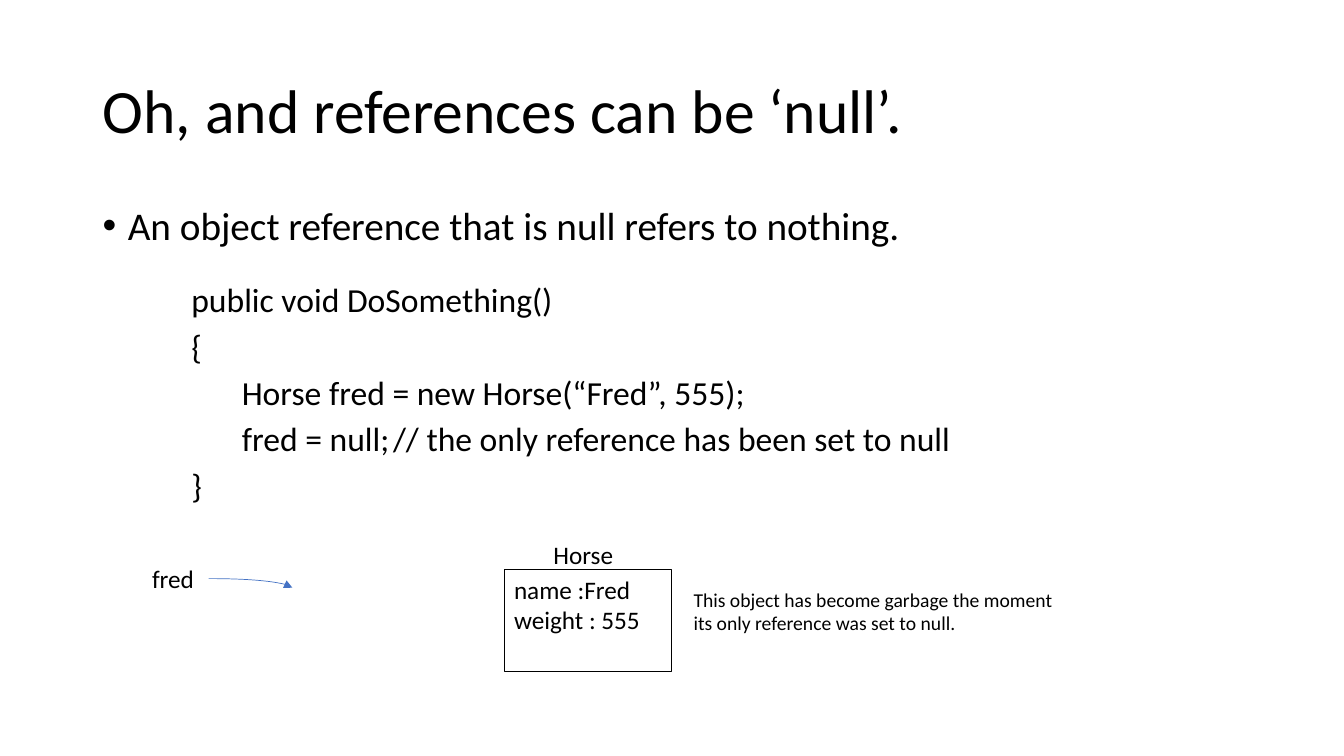
from dataclasses import dataclass

from lxml import etree
from pptx import Presentation
from pptx.dml.color import RGBColor
from pptx.enum import shapes, text
from pptx.oxml import ns
from pptx.util import Inches, Pt

COLORS = {"text": "000000", "background": "FFFFFF", "arrow": "4472C4"}
FONT = "Calibri"


@dataclass(frozen=True)
class TextBlock:
    """Text with its box, size, spacing and optional outline or bullet."""

    left: float
    top: float
    width: float
    height: float
    size: int
    lines: tuple[str, ...]
    line_spacing: float = 1.0
    space_before: int = 0
    bulleted: bool = False
    outlined: bool = False


TITLE = TextBlock(0.92, 0.4, 11.5, 1.45, 44,
                  ("Oh, and references can be ‘null’.",), line_spacing=0.9)
BLOCKS = (
    TextBlock(0.92, 2, 11.5, 0.65, 28,
              ("An object reference that is null refers to nothing.",),
              line_spacing=0.9, bulleted=True),
    TextBlock(1.8, 2.8, 11.5, 2.35, 24,
              ("public void DoSomething()",
               "{",
               "\tHorse fred = new Horse(“Fred”, 555);",
               "\tfred = null;\t// the only reference has been set to null\t",
               "}"),
              line_spacing=0.8, space_before=10),
    TextBlock(5.39, 5.3, 1.07, 0.4, 18, ("Horse",)),
    TextBlock(5, 5.65, 1.66, 1.01, 18, ("name :Fred", "weight : 555"), outlined=True),
    TextBlock(1.41, 5.54, 0.66, 0.4, 18, ("fred",)),
    TextBlock(6.78, 5.78, 3.81, 0.57, 14,
              ("This object has become garbage the moment its only reference was set to null.",)),
)


def color(name: str) -> RGBColor:
    """Return the named colour."""
    return RGBColor.from_string(COLORS[name])


def add_bullet(paragraph) -> None:
    """Give a paragraph a round bullet with a hanging indent."""
    properties = paragraph._p.get_or_add_pPr()
    properties.set("marL", str(Inches(0.25)))
    properties.set("indent", str(Inches(-0.25)))
    etree.SubElement(properties, ns.qn("a:buFont"), typeface="Arial")
    etree.SubElement(properties, ns.qn("a:buChar"), char="•")


def write_text(shape, block: TextBlock, anchor=text.MSO_ANCHOR.TOP) -> None:
    """Fill a shape with the lines of a block."""
    frame = shape.text_frame
    frame.word_wrap = True
    frame.auto_size = text.MSO_AUTO_SIZE.NONE
    frame.vertical_anchor = anchor
    for index, line in enumerate(block.lines):
        paragraph = frame.add_paragraph() if index else frame.paragraphs[0]
        paragraph.alignment = text.PP_ALIGN.LEFT
        paragraph.line_spacing = block.line_spacing
        paragraph.space_before = Pt(block.space_before if index else 0)
        if block.bulleted:
            add_bullet(paragraph)
        run = paragraph.add_run()
        run.text = line
        run.font.name = FONT
        run.font.size = Pt(block.size)
        run.font.color.rgb = color("text")


def add_block(slide, block: TextBlock) -> None:
    """Draw a text box or an outlined rectangle."""
    box = [Inches(value) for value in (block.left, block.top, block.width, block.height)]
    if block.outlined:
        shape = slide.shapes.add_shape(shapes.MSO_SHAPE.RECTANGLE, *box)
        shape.shadow.inherit = False
        shape.fill.background()
        shape.line.color.rgb = color("text")
        shape.line.width = Pt(0.75)
    else:
        shape = slide.shapes.add_textbox(*box)
    write_text(shape, block)


def add_title(slide, block: TextBlock) -> None:
    """Place and format the title placeholder."""
    title = slide.shapes.title
    title.left, title.top = Inches(block.left), Inches(block.top)
    title.width, title.height = Inches(block.width), Inches(block.height)
    write_text(title, block, text.MSO_ANCHOR.MIDDLE)


def add_reference_arrow(slide) -> None:
    """Draw the curved arrow that points from fred to nothing."""
    arrow = slide.shapes.add_connector(
        shapes.MSO_CONNECTOR.CURVE, Inches(2.07), Inches(5.74), Inches(2.9), Inches(5.83))
    arrow.line.color.rgb = color("arrow")
    arrow.line.width = Pt(0.5)
    properties = arrow._element.spPr
    properties.find(ns.qn("a:prstGeom")).set("prst", "curvedConnector2")
    etree.SubElement(arrow.line._get_or_add_ln(), ns.qn("a:tailEnd"), type="triangle")
    etree.SubElement(properties, ns.qn("a:effectLst"))


def main() -> None:
    """Build and save the slide about null references."""
    presentation = Presentation()
    presentation.slide_width, presentation.slide_height = Inches(13.33), Inches(7.5)
    slide = presentation.slides.add_slide(presentation.slide_layouts[5])
    slide.background.fill.solid()
    slide.background.fill.fore_color.rgb = color("background")
    add_title(slide, TITLE)
    for block in BLOCKS:
        add_block(slide, block)
    add_reference_arrow(slide)
    presentation.save("out.pptx")


if __name__ == "__main__":
    main()
